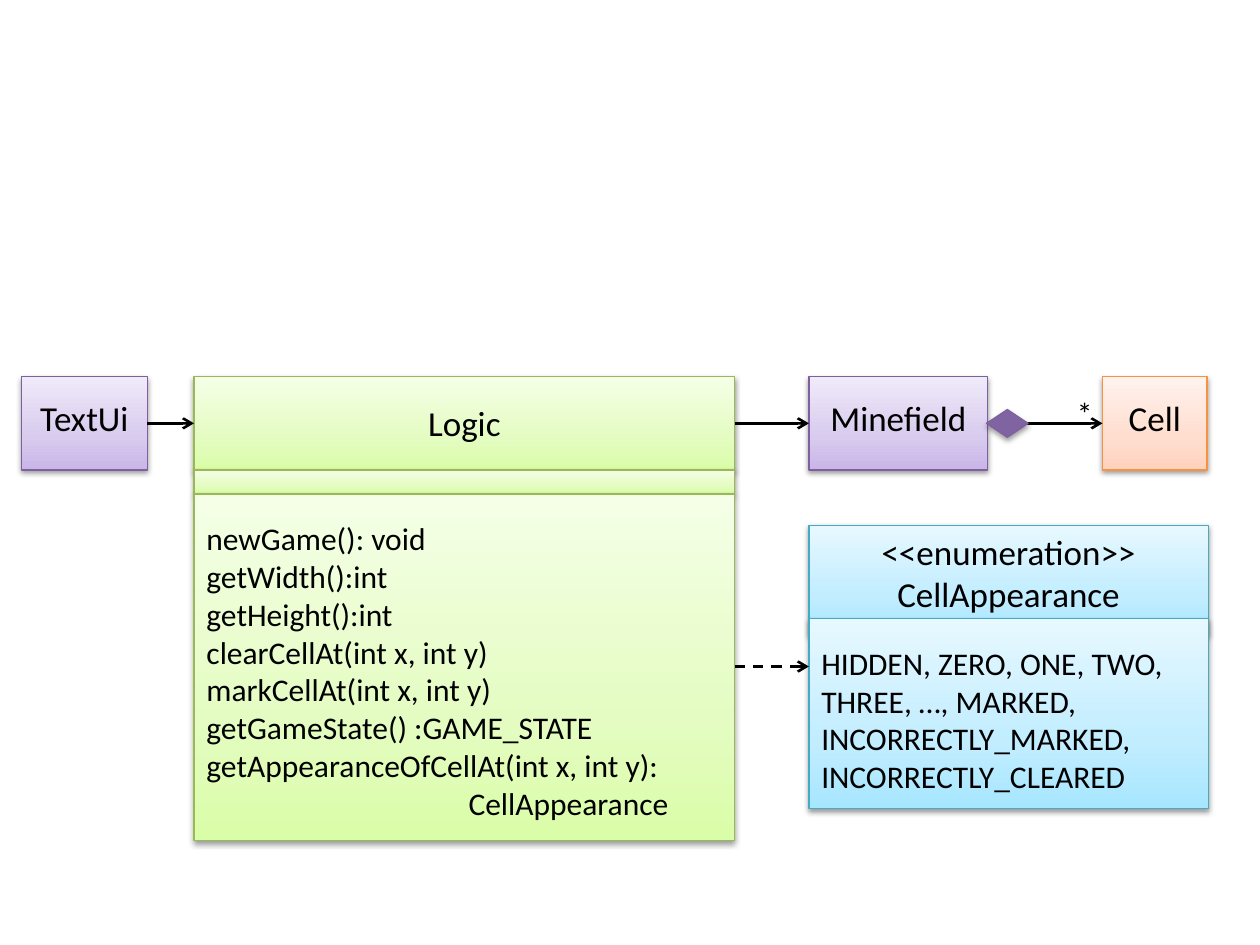
"""Build a UML class diagram slide for a minesweeper game."""
from copy import deepcopy
from dataclasses import dataclass

from lxml.etree import SubElement
from pptx import Presentation
from pptx.dml.color import RGBColor
from pptx.enum.dml import MSO_LINE
from pptx.enum.shapes import MSO_CONNECTOR, MSO_SHAPE
from pptx.enum.text import MSO_ANCHOR, PP_ALIGN
from pptx.oxml.ns import qn
from pptx.shapes.autoshape import Shape
from pptx.slide import Slide
from pptx.text.text import TextFrame
from pptx.util import Inches, Pt

BLACK = RGBColor(0x00, 0x00, 0x00)
DIAMOND = RGBColor(0x80, 0x64, 0xA2)
FONT = "Calibri"


@dataclass(frozen=True)
class Theme:
    line: RGBColor
    stops: tuple[RGBColor, RGBColor, RGBColor]


@dataclass(frozen=True)
class Box:
    left: float
    top: float
    width: float
    height: float
    theme: Theme
    lines: tuple[str, ...] = ()
    size: int = 20
    align: PP_ALIGN = PP_ALIGN.CENTER
    inset: float = 0.2


@dataclass(frozen=True)
class Arrow:
    start: float
    end: float
    y: float
    dashed: bool = False


PURPLE = Theme(RGBColor(0x7D, 0x60, 0xA0), (
    RGBColor(0xC9, 0xB5, 0xE8), RGBColor(0xD8, 0xCB, 0xEE), RGBColor(0xF0, 0xEA, 0xF9)))
GREEN = Theme(RGBColor(0x98, 0xB9, 0x55), (
    RGBColor(0xDA, 0xFD, 0xA7), RGBColor(0xE4, 0xFC, 0xC2), RGBColor(0xF5, 0xFF, 0xE7)))
ORANGE = Theme(RGBColor(0xF6, 0x92, 0x40), (
    RGBColor(0xFF, 0xD2, 0xBD), RGBColor(0xFF, 0xDE, 0xD0), RGBColor(0xFF, 0xF2, 0xED)))
BLUE = Theme(RGBColor(0x46, 0xAA, 0xC5), (
    RGBColor(0xA7, 0xE6, 0xFF), RGBColor(0xC1, 0xED, 0xFF), RGBColor(0xE7, 0xF8, 0xFF)))

METHODS = (
    "newGame(): void",
    "getWidth():int",
    "getHeight():int",
    "clearCellAt(int x, int y)",
    "markCellAt(int x, int y)",
    "getGameState() :GAME_STATE",
    "getAppearanceOfCellAt(int x, int y):",
    "CellAppearance",
)
VALUES = ("HIDDEN, ZERO, ONE, TWO, THREE, …, MARKED, "
          "INCORRECTLY_MARKED, INCORRECTLY_CLEARED",)

ROW_TOP, ROW_H = 2.99, 0.74
ROW_MID = ROW_TOP + ROW_H / 2
LOGIC_X, LOGIC_W = 1.54, 4.29
LOGIC_END = LOGIC_X + LOGIC_W
RIGHT_X, RIGHT_W = 6.42, 3.17

BOXES = (
    Box(0.17, ROW_TOP, 1, ROW_H, PURPLE, ("TextUi",), inset=0.16),
    Box(LOGIC_X, ROW_TOP, LOGIC_W, ROW_H, GREEN, ("Logic",)),
    Box(RIGHT_X, ROW_TOP, 1.42, ROW_H, PURPLE, ("Minefield",), inset=0.16),
    Box(8.75, ROW_TOP, 0.83, ROW_H, ORANGE, ("Cell",), inset=0.16),
    Box(LOGIC_X, 3.73, LOGIC_W, 0.19, GREEN),
    Box(LOGIC_X, 3.92, LOGIC_W, 2.75, GREEN, METHODS, 18, PP_ALIGN.LEFT),
    Box(RIGHT_X, 4.17, RIGHT_W, 0.87, BLUE,
        ("<<enumeration>>", "CellAppearance"), inset=0.04),
    Box(RIGHT_X, 4.91, RIGHT_W, 1.51, BLUE, VALUES, 18, PP_ALIGN.LEFT),
)
ARROWS = (
    Arrow(1.17, LOGIC_X, ROW_MID),
    Arrow(LOGIC_END, RIGHT_X, ROW_MID),
    Arrow(7.83, 8.75, ROW_MID),
    Arrow(LOGIC_END, RIGHT_X, 5.29, dashed=True),
)


def add_shadow(sp: Shape) -> None:
    """Give the shape a soft shadow that falls straight down."""
    sp.shadow.inherit = False
    effects = sp._element.spPr.find(qn("a:effectLst"))
    shadow = SubElement(effects, qn("a:outerShdw"), blurRad="40000",
                        dist="20000", dir="5400000", rotWithShape="0")
    color = SubElement(shadow, qn("a:srgbClr"), val="000000")
    SubElement(color, qn("a:alpha"), val="38000")


def fill_gradient(sp: Shape, stops: tuple[RGBColor, ...]) -> None:
    """Fill the shape with three stops running from bottom to top."""
    sp.fill.gradient()
    sp.fill.gradient_angle = 90
    stop_list = sp._element.spPr.find(".//" + qn("a:gsLst"))
    stop_list.insert(1, deepcopy(stop_list[0]))
    for stop, position, color in zip(sp.fill.gradient_stops, (0, 0.35, 1), stops):
        stop.position = position
        stop.color.rgb = color


def set_lines(tf: TextFrame, lines: tuple[str, ...], size: int, align: PP_ALIGN) -> None:
    """Write one paragraph per line in the diagram's font."""
    tf.word_wrap = True
    tf.vertical_anchor = MSO_ANCHOR.TOP
    tf.text = "\n".join(lines)
    for p in tf.paragraphs:
        p.alignment = align
        p.font.name = FONT
        p.font.size = Pt(size)
        p.font.color.rgb = BLACK


def add_box(s: Slide, box: Box) -> Shape:
    """Draw one compartment of a class."""
    sp = s.shapes.add_shape(MSO_SHAPE.RECTANGLE, Inches(box.left), Inches(box.top),
                            Inches(box.width), Inches(box.height))
    fill_gradient(sp, box.theme.stops)
    sp.line.color.rgb = box.theme.line
    sp.line.width = Pt(0.75)
    add_shadow(sp)
    if box.lines:
        tf = sp.text_frame
        tf.margin_top = tf.margin_bottom = Inches(box.inset)
        set_lines(tf, box.lines, box.size, box.align)
        if box.lines is METHODS:
            tf.paragraphs[-1]._p.get_or_add_pPr().set("marL", str(Inches(2.08)))
    return sp


def add_arrow(s: Slide, arrow: Arrow) -> None:
    """Draw a horizontal arrow with an open head."""
    c = s.shapes.add_connector(MSO_CONNECTOR.STRAIGHT, Inches(arrow.start), Inches(arrow.y),
                               Inches(arrow.end), Inches(arrow.y))
    c.line.color.rgb = BLACK
    c.line.width = Pt(1.5)
    if arrow.dashed:
        c.line.dash_style = MSO_LINE.DASH
    SubElement(c.line._get_or_add_ln(), qn("a:tailEnd"), type="arrow")
    SubElement(c._element.spPr, qn("a:effectLst"))


def add_composition(s: Slide) -> None:
    """Draw the diamond and multiplicity between Minefield and Cell."""
    tb = s.shapes.add_textbox(Inches(8.5), Inches(3.08), Inches(0.17), Inches(0.39))
    tb.text_frame.margin_left = tb.text_frame.margin_right = 0
    set_lines(tb.text_frame, ("*",), 18, PP_ALIGN.RIGHT)
    sp = s.shapes.add_shape(MSO_SHAPE.FLOWCHART_DECISION, Inches(7.83), Inches(3.25),
                            Inches(0.33), Inches(0.22))
    sp.fill.solid()
    sp.fill.fore_color.rgb = DIAMOND
    sp.line.color.rgb = PURPLE.line
    sp.line.width = Pt(0.75)
    add_shadow(sp)


def main() -> None:
    """Build and save the slide."""
    prs = Presentation()
    prs.slide_width, prs.slide_height = Inches(10), Inches(7.5)
    s = prs.slides.add_slide(prs.slide_layouts[6])
    for box in BOXES:
        add_box(s, box)
    for arrow in ARROWS:
        add_arrow(s, arrow)
    add_composition(s)
    prs.save("out.pptx")


if __name__ == "__main__":
    main()
